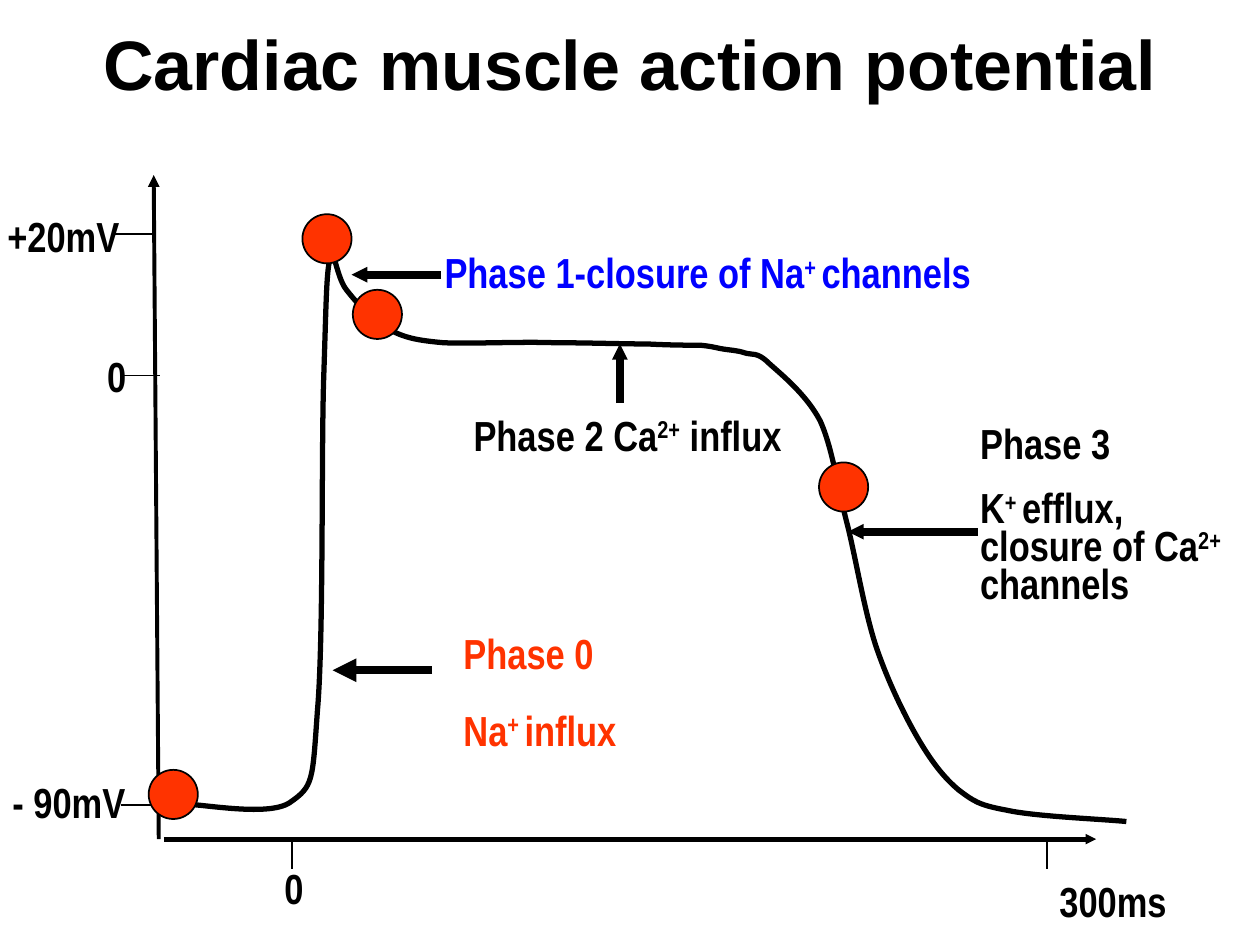
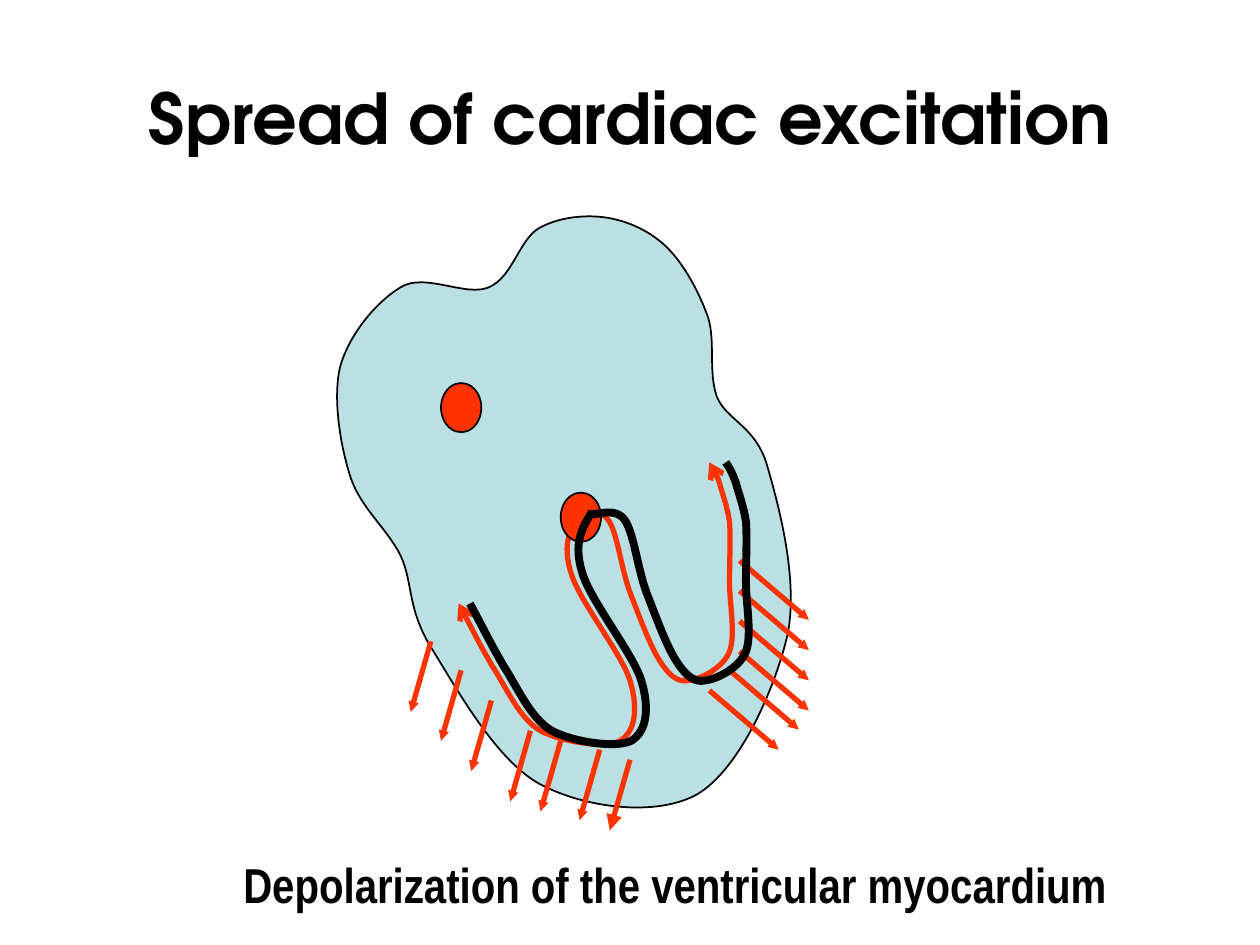
import pptx
import pptx.util
import pptx.dml.color
import pptx.enum.shapes
import pptx.enum.text
import pptx.oxml
import pptx.oxml.ns
from lxml import etree

Inches = pptx.util.Inches
RGB = pptx.dml.color.RGBColor
ALIGN = pptx.enum.text.PP_ALIGN
ANCHOR = pptx.enum.text.MSO_ANCHOR

BLACK = RGB(0, 0, 0)
RED = RGB(0xFF, 0x33, 0x00)
BLUE = RGB(0, 0, 0xFF)
TEAL = RGB(0xBB, 0xE0, 0xE3)
NARROW = "Arial Narrow"
DOT = 0.39

# Each curve: a start point, then rows of two control points and an end point.
PULSE = [(1.41, 5.38),
         (1.56, 5.37, 2.12, 5.49, 2.3, 5.37), (2.49, 5.24, 2.48, 5.2, 2.52, 4.64),
         (2.57, 4.07, 2.55, 2.58, 2.57, 1.99), (2.59, 1.39, 2.59, 1.17, 2.62, 1.05),
         (2.65, 0.94, 2.67, 1.2, 2.75, 1.3), (2.82, 1.39, 2.95, 1.54, 3.08, 1.61),
         (3.21, 1.68, 3.3, 1.7, 3.52, 1.72), (3.74, 1.73, 4.13, 1.71, 4.4, 1.72),
         (4.67, 1.72, 4.94, 1.73, 5.14, 1.73), (5.33, 1.74, 5.46, 1.74, 5.56, 1.74),
         (5.66, 1.75, 5.68, 1.76, 5.74, 1.77), (5.8, 1.78, 5.85, 1.78, 5.91, 1.8),
         (5.97, 1.82, 6.01, 1.79, 6.1, 1.88), (6.2, 1.97, 6.4, 2.13, 6.51, 2.34),
         (6.61, 2.56, 6.65, 2.88, 6.73, 3.18), (6.8, 3.47, 6.86, 3.84, 6.95, 4.12),
         (7.04, 4.39, 7.17, 4.66, 7.28, 4.85), (7.39, 5.04, 7.49, 5.17, 7.61, 5.27),
         (7.73, 5.36, 7.77, 5.39, 7.99, 5.43), (8.21, 5.48, 8.74, 5.5, 8.94, 5.52)]
HEART = [(1.88, 1.28),
         (2.07, 1.2, 2.12, 0.9, 2.28, 0.81), (2.44, 0.72, 2.66, 0.7, 2.83, 0.73),
         (3, 0.76, 3.17, 0.84, 3.3, 0.97), (3.43, 1.1, 3.55, 1.32, 3.62, 1.52),
         (3.68, 1.71, 3.62, 1.95, 3.69, 2.15), (3.77, 2.34, 4, 2.38, 4.09, 2.7),
         (4.18, 3.01, 4.34, 3.6, 4.25, 4.04), (4.15, 4.47, 3.87, 5.1, 3.54, 5.3),
         (3.21, 5.49, 2.63, 5.41, 2.28, 5.22), (1.92, 5.02, 1.6, 4.42, 1.41, 4.12),
         (1.23, 3.81, 1.28, 3.63, 1.18, 3.41), (1.07, 3.19, 0.86, 3.03, 0.78, 2.78),
         (0.7, 2.53, 0.64, 2.16, 0.7, 1.91), (0.77, 1.66, 0.98, 1.4, 1.18, 1.28),
         (1.37, 1.16, 1.7, 1.36, 1.88, 1.28)]
LEFT_WALL = [(2.61, 3.06),
             (2.53, 3.19, 2.46, 3.31, 2.53, 3.54), (2.59, 3.76, 2.93, 4.18, 3, 4.4),
             (3.07, 4.63, 3.04, 4.81, 2.92, 4.88), (2.8, 4.94, 2.46, 4.89, 2.29, 4.8),
             (2.12, 4.7, 2.02, 4.46, 1.91, 4.29), (1.81, 4.12, 1.7, 3.9, 1.64, 3.79)]
RIGHT_WALL = [(2.56, 3.08),
              (2.61, 3.09, 2.76, 3.02, 2.83, 3.13), (2.9, 3.23, 2.93, 3.51, 3, 3.7),
              (3.07, 3.88, 3.16, 4.13, 3.24, 4.25), (3.31, 4.36, 3.38, 4.42, 3.47, 4.4),
              (3.56, 4.39, 3.74, 4.3, 3.79, 4.17), (3.84, 4.04, 3.79, 3.79, 3.79, 3.62),
              (3.79, 3.45, 3.8, 3.27, 3.79, 3.14), (3.77, 3.01, 3.73, 2.91, 3.71, 2.83),
              (3.68, 2.75, 3.66, 2.71, 3.63, 2.67)]


def tip(line, kind, size):
    """Put an arrowhead at the end of a line format."""
    etree.SubElement(line._get_or_add_ln(), pptx.oxml.ns.qn("a:tailEnd"),
                     type=kind, w=size, len=size)


class Area:
    """A box on a slide; all its parts are placed from its top left corner."""

    def __init__(self, slide, left, top):
        self.shapes = slide.shapes
        self.left, self.top = left, top

    def spot(self, x, y):
        return Inches(self.left + x), Inches(self.top + y)

    def text(self, x, y, width, height, *lines, size=24, font=NARROW, color=BLACK,
             align=ALIGN.LEFT, anchor=ANCHOR.TOP, before=15, spacing=None):
        """Add bold text; a ^ switches superscript on and off."""
        box = self.shapes.add_textbox(*self.spot(x, y), Inches(width), Inches(height))
        frame = box.text_frame
        frame.word_wrap = True
        frame.vertical_anchor = anchor
        for row, line in enumerate(lines):
            para = frame.add_paragraph() if row else frame.paragraphs[0]
            para.alignment = align
            if row:
                para.space_before = pptx.util.Pt(before)
            if spacing:
                para.line_spacing = spacing
            for part, words in enumerate(line.split("^")):
                run = para.add_run()
                run.text = words
                run.font.size = pptx.util.Pt(size)
                run.font.name = font
                run.font.bold = True
                run.font.color.rgb = color
                if part % 2:
                    run._r.get_or_add_rPr().set("baseline", "30000")

    def line(self, x1, y1, x2, y2, width=1, color=BLACK, head=None):
        link = self.shapes.add_connector(pptx.enum.shapes.MSO_CONNECTOR.STRAIGHT,
                                         *self.spot(x1, y1), *self.spot(x2, y2))
        link.line.color.rgb = color
        link.line.width = pptx.util.Pt(width)
        if head:
            tip(link.line, "triangle", head)
        etree.SubElement(link._element.spPr, pptx.oxml.ns.qn("a:effectLst"))

    def paint(self, shape, fill, color, width):
        shape.shadow.inherit = False
        if fill is None:
            shape.fill.background()
        else:
            shape.fill.solid()
            shape.fill.fore_color.rgb = fill
        shape.line.color.rgb = color
        shape.line.width = pptx.util.Pt(width)

    def dot(self, x, y, width=DOT):
        oval = self.shapes.add_shape(pptx.enum.shapes.MSO_SHAPE.OVAL, *self.spot(x, y),
                                     Inches(width), Inches(DOT))
        self.paint(oval, RED, BLACK, 1)

    def curve(self, rows, shift=0, fill=None, color=BLACK, width=3, head=None):
        """Draw a smooth outline, closed when it has a fill."""
        start, *bends = rows
        points = [self.spot(row[i] + shift, row[i + 1])
                  for row in bends for i in (0, 2, 4)]
        pen = self.shapes.build_freeform(*self.spot(start[0] + shift, start[1]))
        pen.add_line_segments(points, close=fill is not None)
        shape = pen.convert_to_shape()
        steps = shape._element.xpath(".//a:lnTo")
        for i in range(0, len(steps), 3):
            bend = pptx.oxml.parse_xml("<a:cubicBezTo %s/>" % pptx.oxml.ns.nsdecls("a"))
            steps[i].addprevious(bend)
            for step in steps[i:i + 3]:
                bend.append(step[0])
                step.getparent().remove(step)
        self.paint(shape, fill, color, width)
        if head:
            tip(shape.line, head, "med")


def title(slide, words, top, height, font):
    Area(slide, 0.5, top).text(0, 0, 9, height, words, size=40, font=font,
                               align=ALIGN.CENTER, anchor=ANCHOR.MIDDLE)


def axes(area):
    area.line(1.26, 5.66, 1.22, 0.39, 2.25, head="med")
    area.line(1.3, 5.66, 8.7, 5.66, 3, head="sm")
    for right, y in ((1.28, 5.39), (1.27, 1.98), (1.22, 0.86)):
        area.line(right, y, right - 0.32, y)
    for x in (2.32, 8.31):
        area.line(x, 5.66, x, 5.9)
    for x, y, label in ((0, 5.11, "- 90mV"), (-0.04, 0.62, "+20mV"),
                        (2.16, 5.8, "0"), (8.31, 5.9, "300ms")):
        area.text(x, y, 1.2, 0.5, label)
    area.text(0, 1.73, 1.1, 0.5, "0", align=ALIGN.RIGHT)


def phases(area):
    area.text(3.58, 3.93, 1.57, 1.11, "Phase 0", "Na^+ ^influx", color=RED)
    area.text(3.43, 0.91, 5.67, 0.5, "Phase 1-closure of Na^+ ^channels", color=BLUE)
    area.text(3.66, 2.2, 2.68, 0.5, "Phase 2 Ca^2+^ influx")
    area.text(7.68, 2.36, 2.32, 1.51, "Phase 3",
              "K^+ ^efflux, closure of Ca^2+^ channels", spacing=0.75)
    for x1, y1, x2, y2, head in ((3.43, 4.32, 2.64, 4.32, "med"),
                                 (3.5, 1.18, 2.79, 1.18, "sm"),
                                 (4.92, 2.2, 4.92, 1.73, "sm"),
                                 (7.76, 3.22, 6.73, 3.22, "sm")):
        area.line(x1, y1, x2, y2, 4.5, head=head)


def plot(slide, left, top):
    area = Area(slide, left, top)
    area.curve(PULSE)
    axes(area)
    phases(area)
    for x, y in ((1.18, 5.11), (2.4, 0.7), (2.8, 1.3), (6.5, 2.67)):
        area.dot(x, y)


def heart(slide, left, top):
    area = Area(slide, left, top)
    area.curve(HEART, fill=TEAL, width=1)
    walls = ((LEFT_WALL, 0.09), (RIGHT_WALL, 0.13))
    for wall, _ in walls:
        area.curve(wall, color=RED, head="arrow")
    for x, y in ((1.5, 2.04), (2.45, 2.91)):
        area.dot(x, y, 0.32)
    # Excitation spreads outwards through both ventricle walls.
    for x, y in ((3, 5.03), (2.76, 4.95), (2.45, 4.88), (2.21, 4.8),
                 (1.9, 4.56), (1.66, 4.32), (1.42, 4.09)):
        area.line(x, y, x - 0.16, y + 0.56, 3, RED, "med" if x == 3 else "sm")
    starts = [(3.63, 4.48), (3.79, 4.32)] + [(3.87, 4.17 - 0.24 * i) for i in range(4)]
    for x, y in starts:
        area.line(x, y, x + 0.55, y + 0.47, 3, RED, "sm")
    for wall, shift in walls:
        area.curve(wall, shift, width=4.5)


def main():
    deck = pptx.Presentation()
    deck.slide_width, deck.slide_height = Inches(10), Inches(7.5)
    blank = deck.slide_layouts[6]

    slide = deck.slides.add_slide(blank)
    title(slide, "Cardiac muscle action potential", 0, 0.99, "Arial")
    plot(slide, 0, 1)

    slide = deck.slides.add_slide(blank)
    title(slide, "Spread of cardiac excitation", 0.3, 1.25, "TeX Gyre Adventor")
    heart(slide, 2, 1)
    Area(slide, 1.38, 6.73).text(0, 0, 7.95, 0.57,
                                 "Depolarization of the ventricular myocardium",
                                 size=28, align=ALIGN.CENTER)
    deck.save("out.pptx")


if __name__ == "__main__":
    main()
